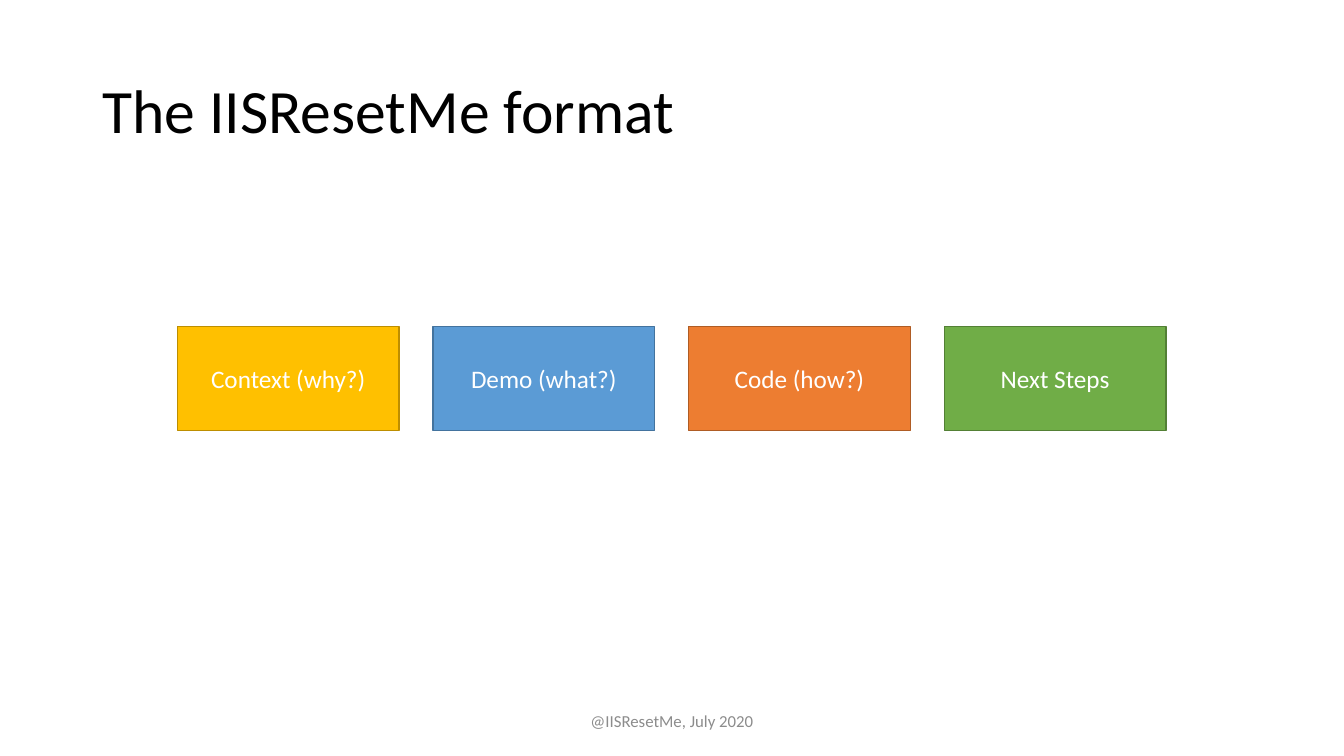
from dataclasses import dataclass

from pptx import Presentation
from pptx.dml.color import RGBColor
from pptx.enum import shapes, text
from pptx.slide import Slide
from pptx.text.text import TextFrame
from pptx.util import Pt

FONT = "Calibri"
BLACK = RGBColor(0x00, 0x00, 0x00)
WHITE = RGBColor(0xFF, 0xFF, 0xFF)
GRAY = RGBColor(0x8C, 0x8C, 0x8C)
GOLD = RGBColor(0xFF, 0xC0, 0x00)
DARK_GOLD = RGBColor(0xBD, 0x8E, 0x00)
BLUE = RGBColor(0x5B, 0x9B, 0xD5)
DARK_BLUE = RGBColor(0x43, 0x73, 0x9E)
ORANGE = RGBColor(0xED, 0x7D, 0x31)
DARK_ORANGE = RGBColor(0xAF, 0x5C, 0x24)
GREEN = RGBColor(0x70, 0xAD, 0x47)
DARK_GREEN = RGBColor(0x53, 0x80, 0x35)

STAGE_LEFT, STAGE_TOP = 126.7, 233.3
STAGE_WIDTH, STAGE_HEIGHT = 158.4, 74.2
STAGE_PITCH = 182.6


@dataclass(frozen=True)
class Label:
    wording: str
    left: float
    top: float
    width: float
    height: float
    size: float
    color: RGBColor
    alignment: text.PP_ALIGN
    line_spacing: float = 1.0


@dataclass(frozen=True)
class Stage:
    wording: str
    fill: RGBColor
    outline: RGBColor


LABELS = [
    Label("The IISResetMe format", 66, 28.8, 828, 104.4, 44, BLACK, text.PP_ALIGN.LEFT, 0.9),
    Label("@IISResetMe, July 2020", 318, 500.5, 324, 28.8, 12, GRAY, text.PP_ALIGN.CENTER),
]
STAGES = [
    Stage("Context (why?)", GOLD, DARK_GOLD),
    Stage("Demo (what?)", BLUE, DARK_BLUE),
    Stage("Code (how?)", ORANGE, DARK_ORANGE),
    Stage("Next Steps", GREEN, DARK_GREEN),
]


def write_text(frame: TextFrame, wording: str, size: float, color: RGBColor,
               alignment: text.PP_ALIGN, line_spacing: float = 1.0) -> None:
    frame.text = wording
    frame.word_wrap = True
    frame.vertical_anchor = text.MSO_ANCHOR.MIDDLE
    paragraph = frame.paragraphs[0]
    paragraph.alignment = alignment
    paragraph.line_spacing = line_spacing
    font = paragraph.runs[0].font
    font.name = FONT
    font.size = Pt(size)
    font.color.rgb = color


def draw_label(slide: Slide, label: Label) -> None:
    shape = slide.shapes.add_textbox(
        Pt(label.left), Pt(label.top), Pt(label.width), Pt(label.height))
    write_text(shape.text_frame, label.wording, label.size, label.color,
               label.alignment, label.line_spacing)


def draw_stage(slide: Slide, stage: Stage, left: float) -> None:
    shape = slide.shapes.add_shape(
        shapes.MSO_SHAPE.RECTANGLE,
        Pt(left), Pt(STAGE_TOP), Pt(STAGE_WIDTH), Pt(STAGE_HEIGHT))
    shape.shadow.inherit = False
    shape.fill.solid()
    shape.fill.fore_color.rgb = stage.fill
    shape.line.color.rgb = stage.outline
    shape.line.width = Pt(1)
    write_text(shape.text_frame, stage.wording, 18, WHITE, text.PP_ALIGN.CENTER)


def main() -> None:
    presentation = Presentation()
    presentation.slide_width = Pt(960)
    presentation.slide_height = Pt(540)
    slide = presentation.slides.add_slide(presentation.slide_layouts[6])
    for index, stage in enumerate(STAGES):
        draw_stage(slide, stage, STAGE_LEFT + index * STAGE_PITCH)
    for label in LABELS:
        draw_label(slide, label)
    presentation.save("out.pptx")


if __name__ == "__main__":
    main()
